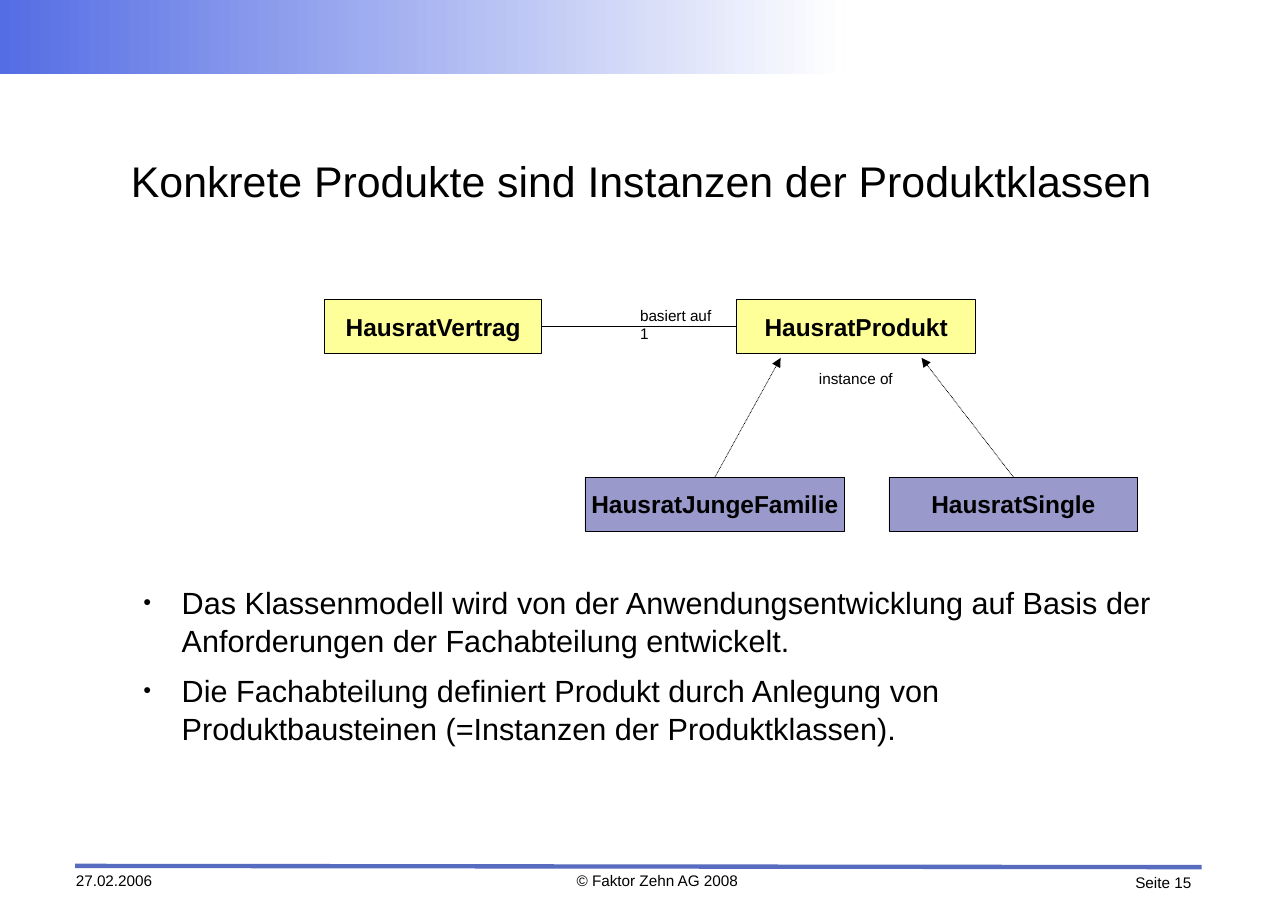
from dataclasses import dataclass

from lxml import etree
from pptx import Presentation
from pptx.dml.color import RGBColor
from pptx.enum.dml import MSO_LINE
from pptx.enum.shapes import MSO_CONNECTOR, MSO_SHAPE
from pptx.enum.text import MSO_ANCHOR, MSO_AUTO_SIZE, PP_ALIGN
from pptx.oxml.ns import qn
from pptx.util import Cm, Pt

RECT, STRAIGHT = MSO_SHAPE.RECTANGLE, MSO_CONNECTOR.STRAIGHT
LEFT, CENTER, RIGHT = PP_ALIGN.LEFT, PP_ALIGN.CENTER, PP_ALIGN.RIGHT
TOP, MIDDLE = MSO_ANCHOR.TOP, MSO_ANCHOR.MIDDLE
FIXED, DOTTED = MSO_AUTO_SIZE.NONE, MSO_LINE.ROUND_DOT


@dataclass(frozen=True)
class Theme:
    font: str = "Arial"
    ink: str = "000000"
    paper: str = "FFFFFF"
    band: str = "556DE4"
    rule: str = "576BBF"
    model: str = "FFFF99"
    item: str = "9999CC"
    title: int = 28
    body: int = 20
    box: int = 16
    small: int = 10
    thin: float = 0.5
    thick: float = 2.83


def color(code):
    return RGBColor.from_string(code)


class Page:
    def __init__(self, slide, theme):
        self.slide, self.theme = slide, theme

    def text(self, frame, lines, size, align=LEFT, anchor=TOP, bold=False,
             dots=False):
        frame.margin_left = frame.margin_right = 0
        frame.margin_top = frame.margin_bottom = 0
        frame.word_wrap, frame.auto_size = True, FIXED
        frame.vertical_anchor = anchor
        frame.text = "\n".join(lines)
        for para in frame.paragraphs:
            if dots:
                self.bullet(para)
            para.alignment = align
            font = para.font
            font.name, font.size, font.bold = self.theme.font, Pt(size), bold
            font.color.rgb = color(self.theme.ink)

    def bullet(self, para):
        props = para._p.get_or_add_pPr()
        props.set("marL", str(Cm(1.19)))
        props.set("indent", str(Cm(-0.89)))
        tint = etree.SubElement(props, qn("a:buClr"))
        etree.SubElement(tint, qn("a:srgbClr"), val=self.theme.ink)
        etree.SubElement(props, qn("a:buSzPct"), val="45000")
        etree.SubElement(props, qn("a:buChar"), char="●")
        para.line_spacing = 1.05
        para.space_before, para.space_after = Pt(0), Pt(7.1)

    def place(self, holder, area):
        holder.left, holder.top, holder.width, holder.height = map(Cm, area)
        return holder.text_frame

    def title(self, line, area):
        frame = self.place(self.slide.shapes.title, area)
        self.text(frame, [line], self.theme.title, anchor=MIDDLE)

    def body(self, lines, area):
        frame = self.place(self.slide.placeholders[1], area)
        self.text(frame, lines, self.theme.body, dots=True)

    def label(self, lines, area, align=LEFT):
        box = self.slide.shapes.add_textbox(*map(Cm, area))
        self.text(box.text_frame, lines, self.theme.small, align)

    def rect(self, area):
        shape = self.slide.shapes.add_shape(RECT, *map(Cm, area))
        shape.shadow.inherit = False
        return shape

    def band(self, area):
        shape = self.rect(area)
        shape.line.fill.background()
        shape.fill.gradient()
        shape.fill.gradient_angle = 0
        ends = (0, self.theme.band), (1, self.theme.paper)
        for stop, (spot, code) in zip(shape.fill.gradient_stops, ends):
            stop.position, stop.color.rgb = spot, color(code)

    def box(self, name, area, fill):
        shape = self.rect(area)
        shape.fill.solid()
        shape.fill.fore_color.rgb = color(fill)
        shape.line.color.rgb = color(self.theme.ink)
        shape.line.width = Pt(self.theme.thin)
        self.text(shape.text_frame, [name], self.theme.box, CENTER, MIDDLE, True)
        return shape

    def line(self, start, end, code, width):
        link = self.slide.shapes.add_connector(STRAIGHT, *map(Cm, start + end))
        link.line.color.rgb, link.line.width = color(code), Pt(width)
        etree.SubElement(link._element.spPr, qn("a:effectLst"))
        return link

    def join(self, first, second):
        link = self.line((0, 0), (1, 0), self.theme.ink, self.theme.thin)
        link.begin_connect(first, 3)
        link.end_connect(second, 1)

    def arrow(self, source, end):
        link = self.line((0, 0), end, self.theme.ink, self.theme.thin)
        link.begin_connect(source, 0)
        link.line.dash_style = DOTTED
        stroke = link._element.spPr.find(qn("a:ln"))
        etree.SubElement(stroke, qn("a:tailEnd"), type="triangle")


def main():
    deck = Presentation()
    deck.slide_width, deck.slide_height = Cm(29.7), Cm(21)
    theme = Theme()
    page = Page(deck.slides.add_slide(deck.slide_layouts[1]), theme)

    # Header band and footer
    page.band((0, 0, 19.48, 1.7))
    page.line((1.73, 19.96), (27.71, 19.99), theme.rule, theme.thick)
    page.label(["27.02.2006"], (1.75, 20.09, 2.97, 0.51))
    page.label(["© Faktor Zehn AG 2008"], (13.11, 20.09, 4.09, 0.51), CENTER)
    page.label(["Seite 15"], (25.5, 20.14, 1.97, 0.48), RIGHT)

    # Title and list
    page.title("Konkrete Produkte sind Instanzen der Produktklassen",
               (3.02, 2.41, 23.65, 3.48))
    page.body([
        "Das Klassenmodell wird von der Anwendungsentwicklung auf Basis der "
        "Anforderungen der Fachabteilung entwickelt.",
        "Die Fachabteilung definiert Produkt durch Anlegung von "
        "Produktbausteinen (=Instanzen der Produktklassen).",
    ], (3, 13.41, 23.65, 5))

    # Model classes
    high, upper, lower = 1.24, 6.91, 11
    deal = page.box("HausratVertrag", (7.49, upper, 5, high), theme.model)
    product = page.box("HausratProdukt", (16.99, upper, 5.51, high), theme.model)
    page.join(deal, product)
    page.label(["basiert auf", "1"], (14.76, 7.06, 2.03, 0.79))

    # Product instances
    for name, left, wide, tip in (("HausratJungeFamilie", 13.49, 5.99, 18),
                                  ("HausratSingle", 20.5, 5.74, 21.25)):
        item = page.box(name, (left, lower, wide, high), theme.item)
        page.arrow(item, (tip, 8.25))
    page.label(["instance of"], (18.72, 8.51, 2.03, 0.41), CENTER)

    deck.save("out.pptx")


if __name__ == "__main__":
    main()
